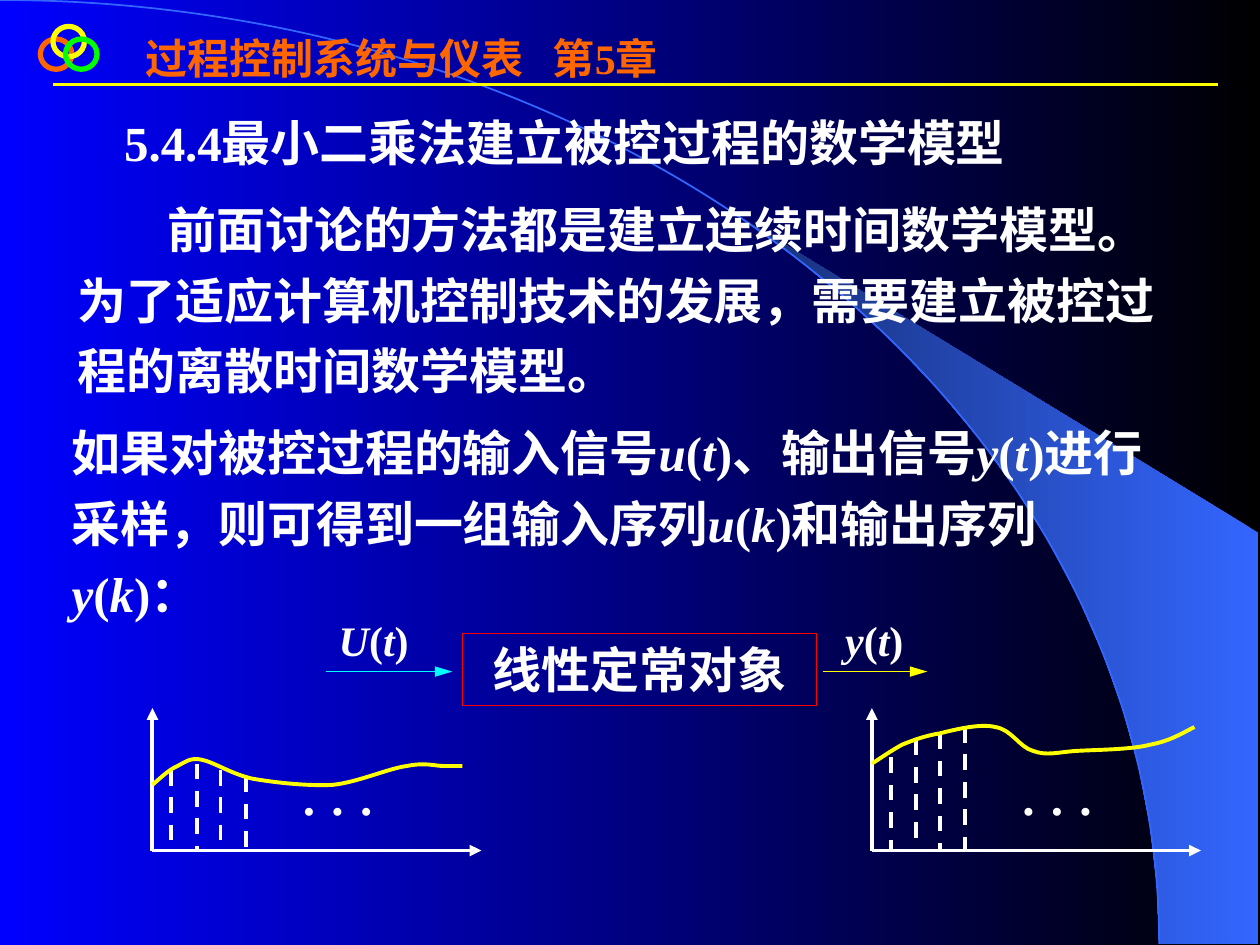
from math import cos, pi, sin
from lxml import etree
from pptx import Presentation
from pptx.dml.color import RGBColor
from pptx.enum.dml import MSO_LINE
from pptx.enum.shapes import MSO_CONNECTOR, MSO_SHAPE
from pptx.enum.text import MSO_ANCHOR, PP_ALIGN
from pptx.oxml.ns import qn
from pptx.util import Inches, Pt

DASH = MSO_LINE.DASH
STRAIGHT = MSO_CONNECTOR.STRAIGHT
ARC, ELLIPSE, RECTANGLE = MSO_SHAPE.ARC, MSO_SHAPE.OVAL, MSO_SHAPE.RECTANGLE
TOP, MIDDLE = MSO_ANCHOR.TOP, MSO_ANCHOR.MIDDLE
LEFT, CENTER = PP_ALIGN.LEFT, PP_ALIGN.CENTER

WIDTH, HEIGHT = 10, 7.5
FONT = "Times New Roman"
WHITE, YELLOW, CYAN, GREEN = "FFFFFF", "FFFF00", "00FFFF", "00FF00"
RED, ORANGE, BLUE = "FF0000", "FF6600", "3366FF"

HEADER = "过程控制系统与仪表\t第5章"
HEADING = "5.4.4最小二乘法建立被控过程的数学模型"
INTRODUCTION = ("前面讨论的方法都是建立连续时间数学模型。为了适应计算机控制技术的发展，"
                "需要建立被控过程的离散时间数学模型。")
SAMPLING = ("如果对被控过程的输入信号*u*(*t*)、输出信号*y*(*t*)进行采样，"
            "则可得到一组输入序列*u*(*k*)和输出序列*y*(*k*)：")
OBJECT = "线性定常对象"
RINGS = [(0.32, 0.31, ORANGE), (0.42, 0.21, YELLOW), (0.52, 0.31, GREEN)]
SIGNALS = [
    ("*U*(*t*)", 2.59, 2.59, 3.59, CYAN),
    ("*y*(*t*)", 6.61, 6.53, 7.36, YELLOW),
]
PLOTS = [
    {"origin": 1.21, "tops": [6.11, 6.06, 6.11, 6.16],
     "curve": [(0, 6.23), (0.07, 6.17), (0.13, 6.11), (0.2, 6.08),
               (0.26, 6.05), (0.3, 6.01), (0.39, 6.03),
               (0.49, 6.05), (0.62, 6.14), (0.79, 6.18),
               (0.96, 6.21), (1.22, 6.24), (1.43, 6.23),
               (1.63, 6.21), (1.87, 6.1), (2.02, 6.08),
               (2.17, 6.05), (2.24, 6.08), (2.31, 6.08),
               (2.39, 6.08), (2.44, 6.08), (2.46, 6.08)]},
    {"origin": 6.92, "tops": [6.01, 5.87, 5.82, 5.77],
     "curve": [(0, 6.06), (0.08, 6.01), (0.15, 5.96), (0.24, 5.91),
               (0.34, 5.87), (0.42, 5.84), (0.54, 5.82),
               (0.66, 5.79), (0.86, 5.74), (0.98, 5.77),
               (1.11, 5.79), (1.17, 5.93), (1.28, 5.96),
               (1.39, 6), (1.47, 5.97), (1.62, 5.96),
               (1.78, 5.95), (2.06, 5.95), (2.21, 5.91),
               (2.37, 5.88), (2.46, 5.82), (2.56, 5.77)]},
]
BASELINE, AXIS_TOP, AXIS_LENGTH = 6.75, 5.62, 2.61
SAMPLE_OFFSETS = [0.15, 0.35, 0.54, 0.74]
ARC_WIDTH, ARC_HEIGHT = 9.2, 7.49
SWOOSH_START, SWOOSH_STEPS = 0.69, 14

deck = Presentation()
deck.slide_width, deck.slide_height = Inches(WIDTH), Inches(HEIGHT)
page = deck.slides.add_slide(deck.slide_layouts[6])
shapes = page.shapes


def color(value):
    return RGBColor.from_string(value)


def paint_gradient(fill, start, end):
    fill.gradient()
    fill.gradient_angle = 180
    for stop, value, position in zip(fill.gradient_stops, (start, end), (0, 1)):
        stop.color.rgb = color(value)
        stop.position = position


def outline(shape, value, weight):
    shape.line.color.rgb = color(value)
    shape.line.width = Pt(weight)


def add_line(start, end, value, weight, arrow=None, dashed=False):
    line = shapes.add_connector(STRAIGHT, *map(Inches, start + end))
    outline(line, value, weight)
    if dashed:
        line.line.dash_style = DASH
    properties = line._element.spPr
    if arrow:
        etree.SubElement(properties.find(qn("a:ln")), qn("a:tailEnd"),
                         type="triangle", w="med", len=arrow)
    etree.SubElement(properties, qn("a:effectLst"))


def add_outline(points, closed=False):
    points = [(Inches(x), Inches(y)) for x, y in points]
    builder = shapes.build_freeform(*points[0])
    builder.add_line_segments(points[1:], close=closed)
    shape = builder.convert_to_shape()
    shape.shadow.inherit = False
    return shape


def add_curve(points, value, weight):
    shape = add_outline(points)
    segments = list(shape._element.iter(qn("a:lnTo")))
    for first in range(0, len(segments), 3):
        bend = etree.Element(qn("a:cubicBezTo"))
        segments[first].addprevious(bend)
        for segment in segments[first:first + 3]:
            bend.append(segment[0])
            segment.getparent().remove(segment)
    shape.fill.background()
    outline(shape, value, weight)


def add_preset(kind, frame, value, weight):
    shape = shapes.add_shape(kind, *map(Inches, frame))
    shape.shadow.inherit = False
    shape.fill.background()
    outline(shape, value, weight)
    return shape


def write(box, text, size=28, value=WHITE, align=LEFT, anchor=TOP,
          spacing=1, indent=0, tab=None, wrap=True):
    frame = box.text_frame
    frame.word_wrap = wrap
    frame.vertical_anchor = anchor
    para = frame.paragraphs[0]
    para.alignment = align
    para.line_spacing = spacing
    properties = para._p.get_or_add_pPr()
    if indent:
        properties.set("marL", "0")
        properties.set("indent", str(Inches(indent)))
    if tab:
        tabs = etree.SubElement(properties, qn("a:tabLst"))
        etree.SubElement(tabs, qn("a:tab"), pos=str(Inches(tab)), algn="l")
    for index, piece in enumerate(text.split("*")):
        if piece:
            span = para.add_run()
            span.text = piece
            font = span.font
            font.name, font.size, font.bold = FONT, Pt(size), True
            font.italic = index % 2 == 1
            font.color.rgb = color(value)


def add_text(text, *frame, **style):
    write(shapes.add_textbox(*map(Inches, frame)), text, **style)


def arc_points(start, steps):
    angles = [start + (pi / 2 - start) * step / steps for step in range(steps + 1)]
    return [(ARC_WIDTH * sin(a), ARC_HEIGHT * (1 - cos(a))) for a in angles]


def add_plot(origin, tops, curve):
    corner = (origin, BASELINE)
    for end in ((origin + AXIS_LENGTH, BASELINE), (origin, AXIS_TOP)):
        add_line(corner, end, WHITE, 2.25, arrow="med")
    for offset, top in zip(SAMPLE_OFFSETS, tops):
        x = origin + offset
        add_line((x, top), (x, BASELINE), WHITE, 2.25, dashed=True)
    add_text("· · ·", origin + 1.08, 6.21, 0.79, 0.5, spacing=0.85)
    add_curve([(origin + x, y) for x, y in curve], YELLOW, 2.25)


paint_gradient(page.background.fill, "000000", "0000FF")
swoosh = add_outline(arc_points(SWOOSH_START, SWOOSH_STEPS)
                     + [(9.99, ARC_HEIGHT), (9.99, 4.23)], closed=True)
paint_gradient(swoosh.fill, BLUE, "172F75")
swoosh.line.fill.background()
add_preset(ARC, (-ARC_WIDTH, 0, 2 * ARC_WIDTH, 2 * ARC_HEIGHT), BLUE, 1)

add_line((0.42, 0.67), (9.67, 0.67), YELLOW, 1.5)
add_text(HEADER, 1.06, 0.21, 4.49, 0.9, size=24, value=ORANGE, tab=3.23)
for left, top, shade in RINGS:
    add_preset(ELLIPSE, (left, top, 0.25, 0.24), shade, 3)
add_text(HEADING, 0.84, 0.75, 7.28, 0.66, align=CENTER, spacing=1.2, wrap=False)
add_text(INTRODUCTION, 0.52, 1.44, 9.01, 1.78, anchor=MIDDLE, spacing=1.2, indent=0.71)
add_text(SAMPLING, 0.47, 3.21, 8.86, 1.78, anchor=MIDDLE, spacing=1.2)

process = add_preset(RECTANGLE, (3.67, 5.03, 2.81, 0.57), RED, 0.75)
write(process, OBJECT, align=CENTER)
for label, left, start, end, shade in SIGNALS:
    add_line((start, 5.33), (end, 5.33), shade, 0.75, arrow="lg")
    add_text(label, left, 4.83, 1.17, 0.5, size=24)
for plot in PLOTS:
    add_plot(**plot)

deck.save("out.pptx")
